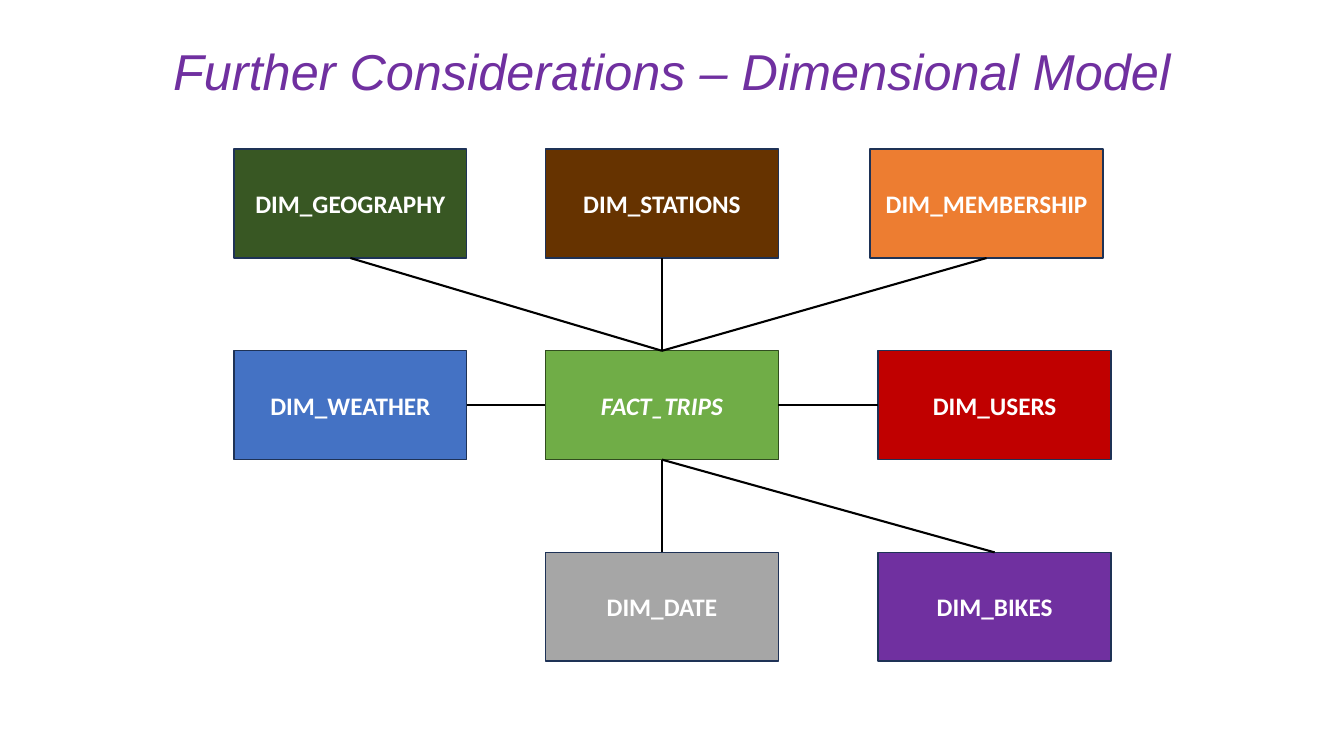
from pptx import Presentation
from pptx.dml.color import RGBColor
from pptx.enum.shapes import MSO_CONNECTOR, MSO_SHAPE
from pptx.enum.text import MSO_ANCHOR, PP_ALIGN
from pptx.oxml.ns import qn
from pptx.util import Inches, Pt
from lxml import etree

PURPLE = RGBColor(0x70, 0x30, 0xA0)
GREEN = RGBColor(0x70, 0xAD, 0x47)
DARK_GREEN = RGBColor(0x38, 0x57, 0x23)
BROWN = RGBColor(0x66, 0x33, 0x00)
ORANGE = RGBColor(0xED, 0x7D, 0x31)
BLUE = RGBColor(0x44, 0x72, 0xC4)
RED = RGBColor(0xC0, 0x00, 0x00)
GRAY = RGBColor(0xA6, 0xA6, 0xA6)
NAVY_EDGE = RGBColor(0x1E, 0x32, 0x56)
GREEN_EDGE = RGBColor(0x31, 0x4C, 0x1F)
WHITE = RGBColor(0xFF, 0xFF, 0xFF)
BLACK = RGBColor(0x00, 0x00, 0x00)

BOX_W, BOX_H = 2.31, 1.08
LEFT, CENTER, RIGHT = 2.32, 5.41, 8.71
ROW_TOPS = [1.48 + 2 * i for i in range(3)]
# Connection sites of a rectangle
TOP_SIDE, LEFT_SIDE, BOTTOM_SIDE, RIGHT_SIDE = range(4)


def write(shape, text, size=18, font="Calibri", color=WHITE, bold=False, italic=False):
    tf = shape.text_frame
    tf.word_wrap = True
    p = tf.paragraphs[0]
    p.alignment = PP_ALIGN.CENTER
    r = p.add_run()
    r.text = text
    r.font.size = Pt(size)
    r.font.name = font
    r.font.color.rgb = color
    r.font.bold = bold
    r.font.italic = italic


prs = Presentation()
prs.slide_width, prs.slide_height = Inches(13.33), Inches(7.5)
s = prs.slides.add_slide(prs.slide_layouts[6])

title = s.shapes.add_textbox(Inches(0), Inches(0.35), Inches(13.33), Inches(0.71))
write(title, "Further Considerations – Dimensional Model",
      size=36, font="Arial", color=PURPLE, italic=True)

# Table name, left, row, fill
tables = [
    ("FACT_TRIPS", CENTER, 1, GREEN),
    ("DIM_GEOGRAPHY", LEFT, 0, DARK_GREEN),
    ("DIM_STATIONS", CENTER, 0, BROWN),
    ("DIM_MEMBERSHIP", 8.63, 0, ORANGE),
    ("DIM_WEATHER", LEFT, 1, BLUE),
    ("DIM_USERS", RIGHT, 1, RED),
    ("DIM_DATE", CENTER, 2, GRAY),
    ("DIM_BIKES", RIGHT, 2, PURPLE),
]
boxes = {}
for name, left, row, fill in tables:
    is_fact = name == "FACT_TRIPS"
    sp = s.shapes.add_shape(MSO_SHAPE.RECTANGLE, Inches(left), Inches(ROW_TOPS[row]),
                            Inches(BOX_W), Inches(BOX_H))
    sp.shadow.inherit = False
    sp.fill.solid()
    sp.fill.fore_color.rgb = fill
    sp.line.color.rgb = GREEN_EDGE if is_fact else NAVY_EDGE
    sp.line.width = Pt(1)
    sp.text_frame.vertical_anchor = MSO_ANCHOR.MIDDLE
    write(sp, name, bold=True, italic=is_fact)
    boxes[name] = sp

# Dimension, its side, side of the fact table
links = [
    ("DIM_GEOGRAPHY", BOTTOM_SIDE, TOP_SIDE),
    ("DIM_STATIONS", BOTTOM_SIDE, TOP_SIDE),
    ("DIM_MEMBERSHIP", BOTTOM_SIDE, TOP_SIDE),
    ("DIM_WEATHER", RIGHT_SIDE, LEFT_SIDE),
    ("DIM_USERS", LEFT_SIDE, RIGHT_SIDE),
    ("DIM_DATE", TOP_SIDE, BOTTOM_SIDE),
    ("DIM_BIKES", TOP_SIDE, BOTTOM_SIDE),
]
for name, dim_side, fact_side in links:
    link = s.shapes.add_connector(MSO_CONNECTOR.STRAIGHT, 0, 0, 0, 0)
    link.begin_connect(boxes[name], dim_side)
    link.end_connect(boxes["FACT_TRIPS"], fact_side)
    link.line.color.rgb = BLACK
    link.line.width = Pt(1.5)
    etree.SubElement(link.element.spPr, qn("a:effectLst"))

prs.save("out.pptx")
